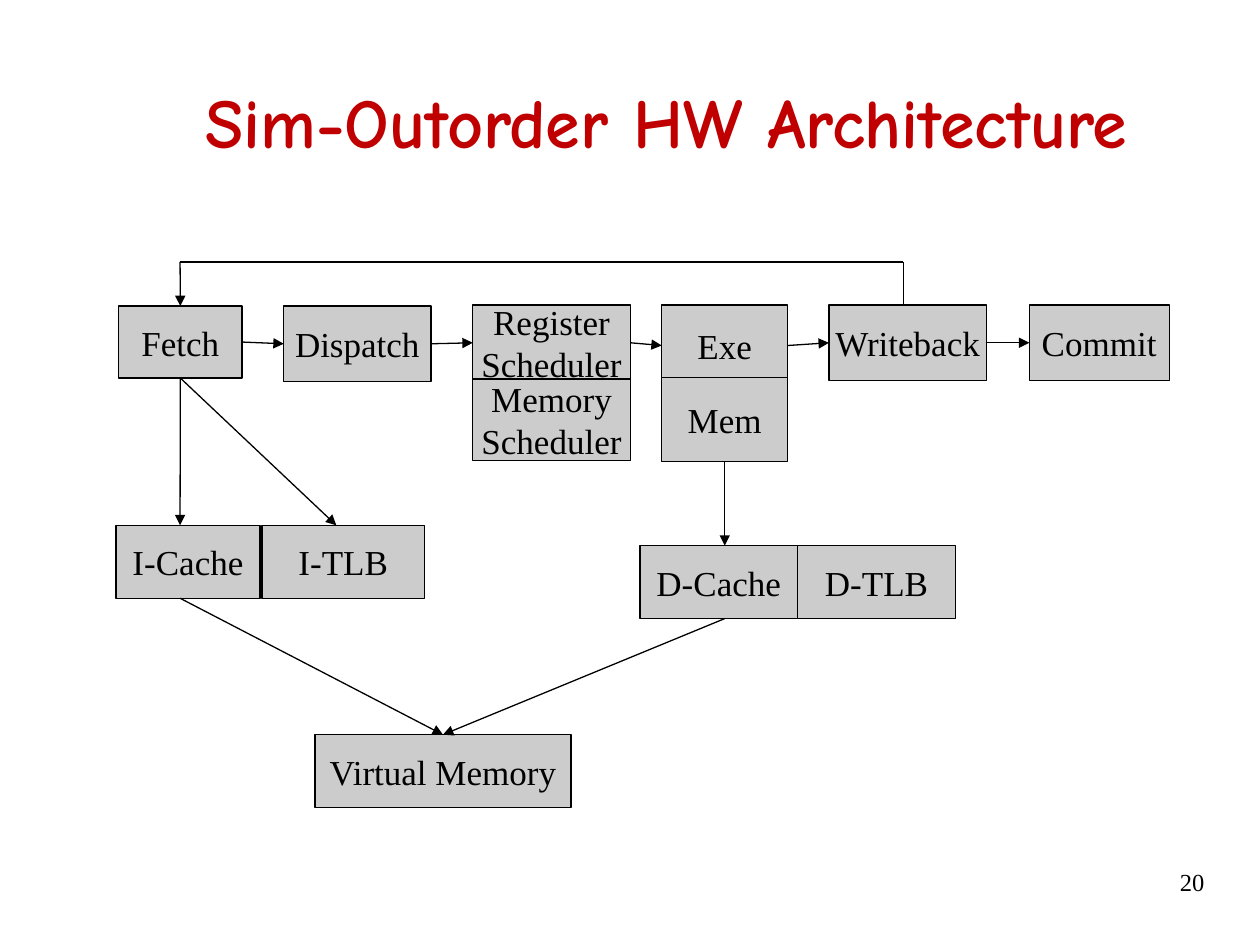
import pptx
import pptx.util
import pptx.dml.color
import pptx.enum.shapes
import pptx.enum.text
import pptx.oxml.ns
from lxml import etree
from pptx.util import Cm

BLACK = pptx.dml.color.RGBColor(0x00, 0x00, 0x00)
GRAY = pptx.dml.color.RGBColor(0xCC, 0xCC, 0xCC)
RED = pptx.dml.color.RGBColor(0xC0, 0x00, 0x00)
BODY_FONT = "Times New Roman"
TITLE_FONT = "Comic Neue"
TOP, LEFT, BOTTOM, RIGHT = range(4)
CENTER = pptx.enum.text.PP_ALIGN.CENTER
MIDDLE = pptx.enum.text.MSO_ANCHOR.MIDDLE


def write(frame, text, size, font, color=BLACK, align=CENTER, bold=False):
    """Fill a text frame with one paragraph per line of text."""
    frame.text = text
    for paragraph in frame.paragraphs:
        paragraph.alignment = align
        paragraph.font.size = pptx.util.Pt(size)
        paragraph.font.name = font
        paragraph.font.bold = bold
        paragraph.font.color.rgb = color


def add_unit(slide, label, left, top, width, height):
    """Draw one labelled hardware unit, measured in centimetres."""
    unit = slide.shapes.add_shape(
        pptx.enum.shapes.MSO_SHAPE.ROUNDED_RECTANGLE,
        Cm(left), Cm(top), Cm(width), Cm(height))
    unit.adjustments[0] = 0
    unit.shadow.inherit = False
    unit.fill.solid()
    unit.fill.fore_color.rgb = GRAY
    unit.line.color.rgb = BLACK
    unit.line.width = pptx.util.Pt(0.75)
    unit.text_frame.word_wrap = False
    unit.text_frame.vertical_anchor = MIDDLE
    write(unit.text_frame, label, 20, BODY_FONT)
    return unit


def add_link(slide, start, end, arrow=True):
    """Join two ends, each an (x, y) point in centimetres or a (unit, side) pair."""
    points = [(Cm(0), Cm(0)) if hasattr(place[0], "text_frame")
              else (Cm(place[0]), Cm(place[1])) for place in (start, end)]
    link = slide.shapes.add_connector(
        pptx.enum.shapes.MSO_CONNECTOR.STRAIGHT, *points[0], *points[1])
    for place, connect in ((start, link.begin_connect), (end, link.end_connect)):
        if hasattr(place[0], "text_frame"):
            connect(*place)
    link.line.color.rgb = BLACK
    link.line.width = pptx.util.Pt(0.75)
    if arrow:
        etree.SubElement(link.line._get_or_add_ln(),
                         pptx.oxml.ns.qn("a:tailEnd"), type="triangle")
    etree.SubElement(link._element.spPr, pptx.oxml.ns.qn("a:effectLst"))


def add_title(slide, left, top, width, height):
    """Write the slide title centred in its box."""
    title = slide.shapes.add_textbox(Cm(left), Cm(top), Cm(width), Cm(height))
    title.text_frame.word_wrap = True
    title.text_frame.vertical_anchor = MIDDLE
    write(title.text_frame, "Sim-Outorder HW Architecture", 40, TITLE_FONT, RED, bold=True)


def add_page_number(slide, left, top, width, height):
    """Write the page number at the right of its box."""
    number = slide.shapes.add_textbox(Cm(left), Cm(top), Cm(width), Cm(height))
    number.text_frame.word_wrap = True
    write(number.text_frame, "20", 14, BODY_FONT, align=pptx.enum.text.PP_ALIGN.RIGHT)


def add_pipeline(slide, left, top):
    """Draw the pipeline with its feedback path and return the memory users."""
    stages = [add_unit(slide, label, left + x, top + y, width, height)
              for label, x, y, width, height in (
                  ("Fetch", 0, 0.89, 2.49, 1.45),
                  ("Dispatch", 3.33, 0.89, 2.97, 1.52),
                  ("Register\nScheduler", 7.14, 0.87, 3.18, 1.52),
                  ("Exe", 10.95, 0.87, 2.54, 1.63),
                  ("Writeback", 14.32, 0.87, 3.18, 1.52),
                  ("Commit", 18.36, 0.87, 2.82, 1.52))]
    add_unit(slide, "Memory\nScheduler", left + 7.14, top + 2.36, 3.18, 1.65)
    mem = add_unit(slide, "Mem", left + 10.95, top + 2.33, 2.54, 1.7)
    for stage, following in zip(stages, stages[1:]):
        add_link(slide, (stage, RIGHT), (following, LEFT))
    fetch = stages[0]
    fetch_x, writeback_x = left + 1.24, left + 15.82
    add_link(slide, (fetch_x, top), (writeback_x, top), arrow=False)
    add_link(slide, (writeback_x, top), (writeback_x, top + 0.87), arrow=False)
    add_link(slide, (fetch_x, top), (fetch, TOP))
    return fetch, mem


def add_memory(slide, left, top, fetch, mem):
    """Draw the caches, TLBs and virtual memory below the pipeline."""
    height = 1.47
    for label, x, y, width in (("I-Cache", 0, 0, 2.9), ("I-TLB", 2.94, 0, 3.28),
                               ("D-Cache", 10.56, 0.41, 3.18),
                               ("D-TLB", 13.74, 0.41, 3.18)):
        add_unit(slide, label, left + x, top + y, width, height)
    virtual = add_unit(slide, "Virtual Memory", left + 4.01, top + 4.22, 5.16, height)
    icache_x, dcache_x = left + 1.29, left + 12.27
    add_link(slide, (fetch, BOTTOM), (icache_x, top))
    add_link(slide, (fetch, BOTTOM), (left + 4.44, top))
    add_link(slide, (mem, BOTTOM), (dcache_x, top + 0.41))
    add_link(slide, (icache_x, top + height), (virtual, TOP))
    add_link(slide, (dcache_x, top + 0.41 + height), (virtual, TOP))


def main():
    """Build the slide and save it."""
    deck = pptx.Presentation()
    deck.slide_width, deck.slide_height = Cm(25.4), Cm(19.05)
    slide = deck.slides.add_slide(deck.slide_layouts[6])
    add_page_number(slide, 19.25, 17.35, 5.28, 1.27)
    fetch, mem = add_pipeline(slide, 2.39, 5.28)
    add_memory(slide, 2.34, 10.59, fetch, mem)
    add_title(slide, 1.9, 0.84, 23.06, 3.18)
    deck.save("out.pptx")


if __name__ == "__main__":
    main()
